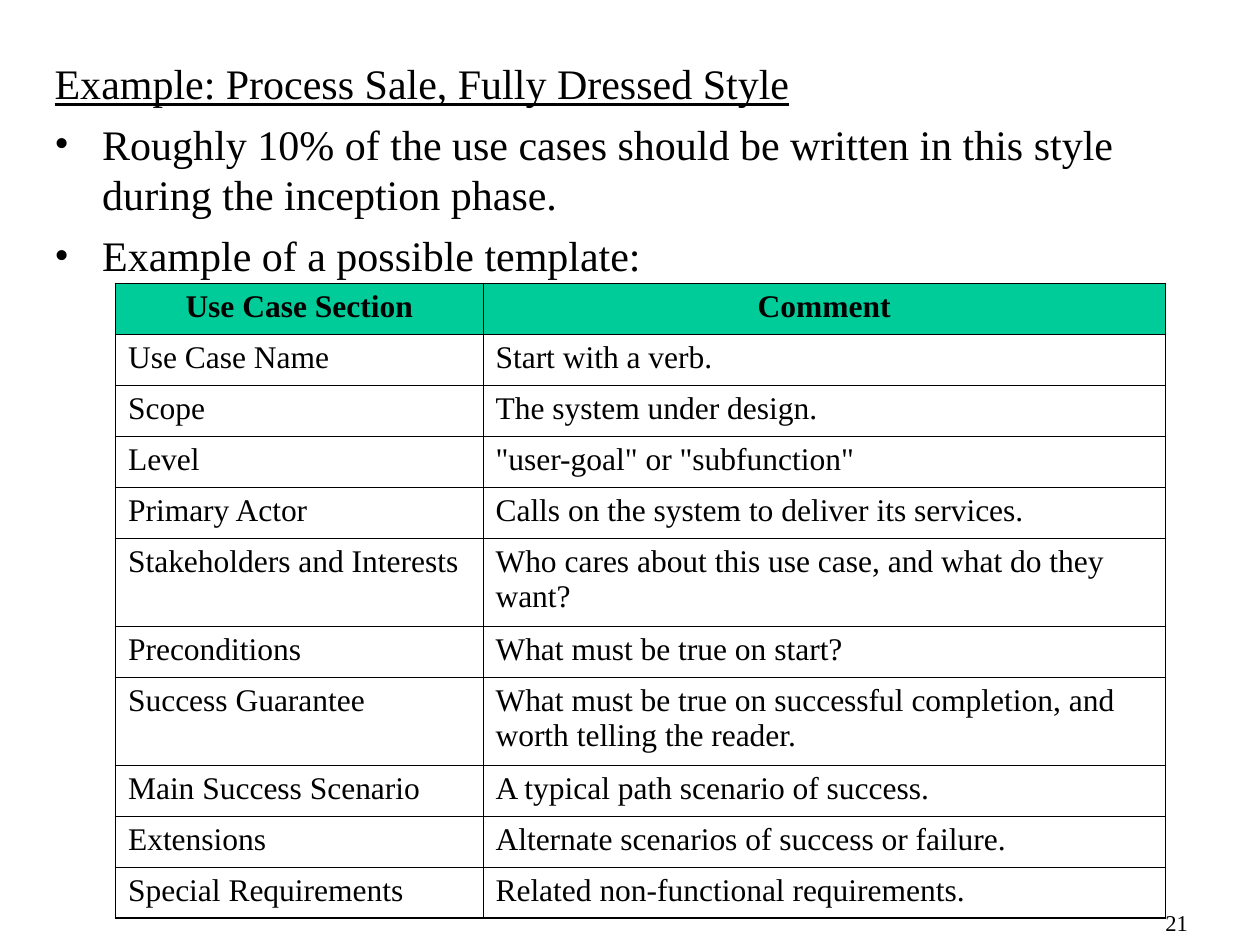
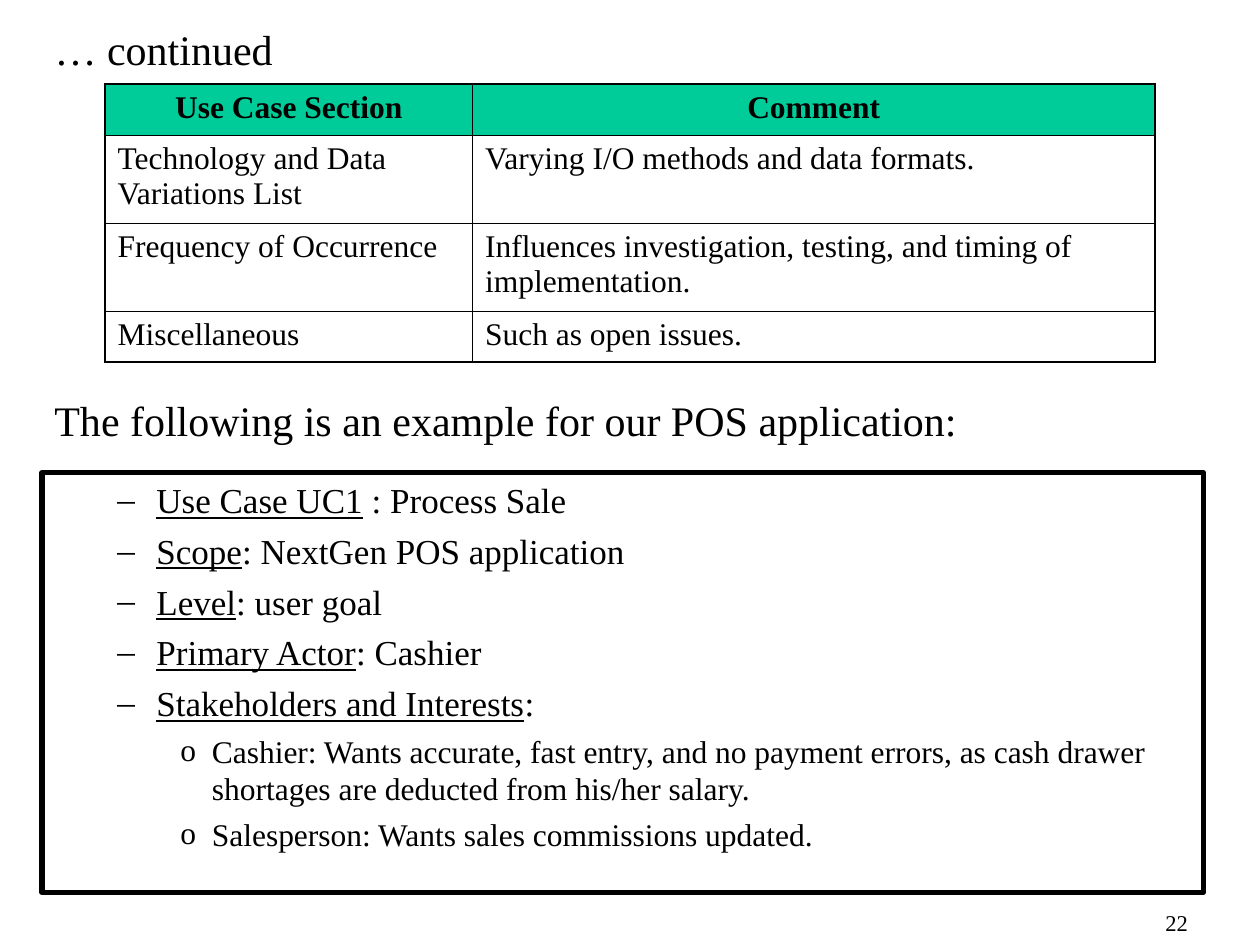
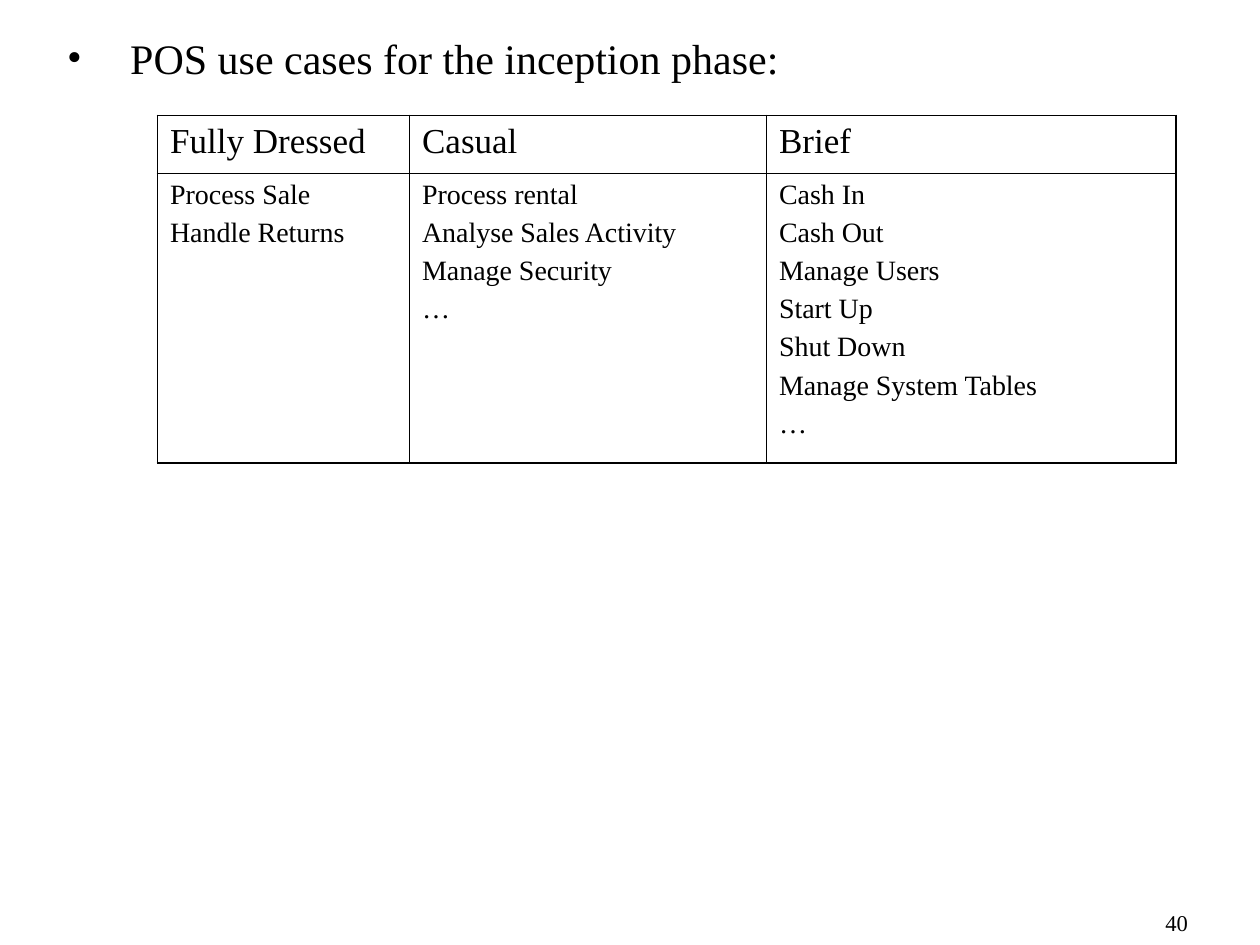
import pptx
import pptx.dml.color
import pptx.enum.shapes
import pptx.enum.text
import pptx.oxml.ns
import pptx.util
from lxml import etree

BLACK = pptx.dml.color.RGBColor(0x00, 0x00, 0x00)
GREEN = pptx.dml.color.RGBColor(0x00, 0xCC, 0x99)
FONT = "Times New Roman"
UNIT = pptx.util.Inches(1) // 12
LEFT = 4
BODY_WIDTH = 110.6
ONE_LINE = 4.85
TWO_LINES = 8.4
ALIGN = pptx.enum.text.PP_ALIGN
qn = pptx.oxml.ns.qn


def write(text_frame, paragraphs, size, before=0, after=0, bullet=None,
          left=0, hanging=0, align=ALIGN.LEFT, bold=False, underline=False):
    for runs in paragraphs:
        first = not text_frame.text
        paragraph = text_frame.paragraphs[0] if first else text_frame.add_paragraph()
        paragraph.alignment = align
        paragraph.space_before = pptx.util.Pt(0 if first else before)
        paragraph.space_after = pptx.util.Pt(after)
        properties = paragraph._p.get_or_add_pPr()
        properties.set("marL", str(pptx.util.Inches(left)))
        properties.set("indent", str(-pptx.util.Inches(hanging)))
        if bullet:
            etree.SubElement(properties, qn("a:buFont"), typeface=FONT)
            etree.SubElement(properties, qn("a:buChar"), char=bullet)
        else:
            etree.SubElement(properties, qn("a:buNone"))
        paragraph.font.name = FONT
        paragraph.font.size = pptx.util.Pt(size)
        paragraph.font.color.rgb = BLACK
        paragraph.font.bold = bold
        if isinstance(runs, str):
            paragraph.add_run().text = runs
            paragraph.font.underline = underline
        else:
            for text, underlined in zip(runs, (True, False)):
                run = paragraph.add_run()
                run.text = text
                run.font.underline = underlined


def add_grid(slide, left, top, widths, heights, rows, header, body):
    table = slide.shapes.add_table(
        len(heights), len(widths), int(left * UNIT), int(top * UNIT),
        int(sum(widths) * UNIT), int(sum(heights) * UNIT)).table
    table.first_row = table.horz_banding = False
    for column, width in zip(table.columns, widths):
        column.width = int(width * UNIT)
    for row_index, (height, texts) in enumerate(zip(heights, rows)):
        table.rows[row_index].height = int(height * UNIT)
        for column_index, text in enumerate(texts):
            cell = table.cell(row_index, column_index)
            outer_edges = {
                "a:lnL": column_index == 0,
                "a:lnR": column_index == len(widths) - 1,
                "a:lnT": row_index == 0,
                "a:lnB": row_index == len(heights) - 1,
            }
            for tag, outer in outer_edges.items():
                width = pptx.util.Pt(1.08 if outer else 0.45)
                border = etree.SubElement(cell._tc.get_or_add_tcPr(), qn(tag), w=str(width))
                fill = etree.SubElement(border, qn("a:solidFill"))
                etree.SubElement(fill, qn("a:srgbClr"), val=str(BLACK))
            style = dict(body if row_index else header)
            color = style.pop("fill", None)
            if color:
                cell.fill.solid()
                cell.fill.fore_color.rgb = color
            else:
                cell.fill.background()
            write(cell.text_frame, text.split("\n"), **style)


presentation = pptx.Presentation()
presentation.slide_width = 120 * UNIT
presentation.slide_height = 90 * UNIT

slides = []
for title, left, top, style, number in [
    ("Example: Process Sale, Fully Dressed Style", LEFT, 4.9, {"underline": True}, "21"),
    ("… continued", LEFT, 1.6, {}, "22"),
    ("POS use cases for the inception phase:", 5.2, 2.5,
     {"bullet": "•", "left": 0.5, "hanging": 0.5}, "40"),
]:
    slide = presentation.slides.add_slide(presentation.slide_layouts[5])
    slides.append(slide)
    shape = slide.shapes.title
    shape.left, shape.top = int(left * UNIT), int(top * UNIT)
    shape.width, shape.height = int(BODY_WIDTH * UNIT), 6 * UNIT
    text_frame = shape.text_frame
    text_frame.auto_size = pptx.enum.text.MSO_AUTO_SIZE.NONE
    text_frame.vertical_anchor = pptx.enum.text.MSO_ANCHOR.TOP
    write(text_frame, [title], 24, **style)
    page_number = slide.shapes.add_textbox(int(89.3 * UNIT), 86 * UNIT, 25 * UNIT, 4 * UNIT)
    page_number.text_frame.word_wrap = True
    write(page_number.text_frame, [number], 12.9, align=ALIGN.RIGHT)

template_slide, example_slide, phase_slide = slides
template_columns = [35, 65]
template_header = {"size": 18, "after": 5, "align": ALIGN.CENTER, "bold": True, "fill": GREEN}
template_body = {"size": 18, "after": 5}
header_row = ("Use Case Section", "Comment")

introduction = template_slide.shapes.add_textbox(
    LEFT * UNIT, int(10.7 * UNIT), int(BODY_WIDTH * UNIT), int(16.7 * UNIT))
introduction.text_frame.word_wrap = True
write(introduction.text_frame, [
    "Roughly 10% of the use cases should be written in this style during the inception phase.",
    "Example of a possible template:",
], 24, before=6, bullet="•", left=0.38, hanging=0.38)

add_grid(
    template_slide, 11, 27, template_columns,
    [ONE_LINE] * 5 + [TWO_LINES, ONE_LINE, TWO_LINES] + [ONE_LINE] * 3,
    [
        header_row,
        ("Use Case Name", "Start with a verb."),
        ("Scope", "The system under design."),
        ("Level", '"user-goal" or "subfunction"'),
        ("Primary Actor", "Calls on the system to deliver its services."),
        ("Stakeholders and Interests", "Who cares about this use case, and what do they want?"),
        ("Preconditions", "What must be true on start?"),
        ("Success Guarantee",
         "What must be true on successful completion, and worth telling the reader."),
        ("Main Success Scenario", "A typical path scenario of success."),
        ("Extensions", "Alternate scenarios of success or failure."),
        ("Special Requirements", "Related non-functional requirements."),
    ],
    template_header, template_body)

add_grid(
    example_slide, 10, 8, template_columns,
    [ONE_LINE, TWO_LINES, TWO_LINES, ONE_LINE],
    [
        header_row,
        ("Technology and Data Variations List", "Varying I/O methods and data formats."),
        ("Frequency of Occurrence",
         "Influences investigation, testing, and timing of implementation."),
        ("Miscellaneous", "Such as open issues."),
    ],
    template_header, template_body)

lead_in = example_slide.shapes.add_textbox(
    LEFT * UNIT, 37 * UNIT, int(BODY_WIDTH * UNIT), 6 * UNIT)
lead_in.text_frame.word_wrap = True
write(lead_in.text_frame, ["The following is an example for our POS application:"], 24)

use_case = example_slide.shapes.add_shape(
    pptx.enum.shapes.MSO_SHAPE.RECTANGLE,
    LEFT * UNIT, 45 * UNIT, int(BODY_WIDTH * UNIT), 40 * UNIT)
use_case.shadow.inherit = False
use_case.fill.background()
use_case.line.color.rgb = BLACK
use_case.line.width = pptx.util.Pt(3)
use_case.text_frame.word_wrap = True
use_case.text_frame.vertical_anchor = pptx.enum.text.MSO_ANCHOR.TOP
write(use_case.text_frame, [
    ("Use Case UC1", " : Process Sale"),
    ("Scope", ": NextGen POS application"),
    ("Level", ": user goal"),
    ("Primary Actor", ": Cashier"),
    ("Stakeholders and Interests", ":"),
], 20, before=5, bullet="–", left=0.81, hanging=0.31)
write(use_case.text_frame, [
    "Cashier: Wants accurate, fast entry, and no payment errors, as cash drawer "
    "shortages are deducted from his/her salary.",
    "Salesperson: Wants sales commissions updated.",
], 18, before=4.5, bullet="o", left=1.25, hanging=0.25)

add_grid(
    phase_slide, 15, 11, [24, 34, 39], [5.5, 27.6],
    [
        ("Fully Dressed", "Casual", "Brief"),
        ("Process Sale\nHandle Returns",
         "Process rental\nAnalyse Sales Activity\nManage Security\n…",
         "Cash In\nCash Out\nManage Users\nStart Up\nShut Down\nManage System Tables\n…"),
    ],
    {"size": 20}, {"size": 16, "before": 4})

presentation.save("out.pptx")
